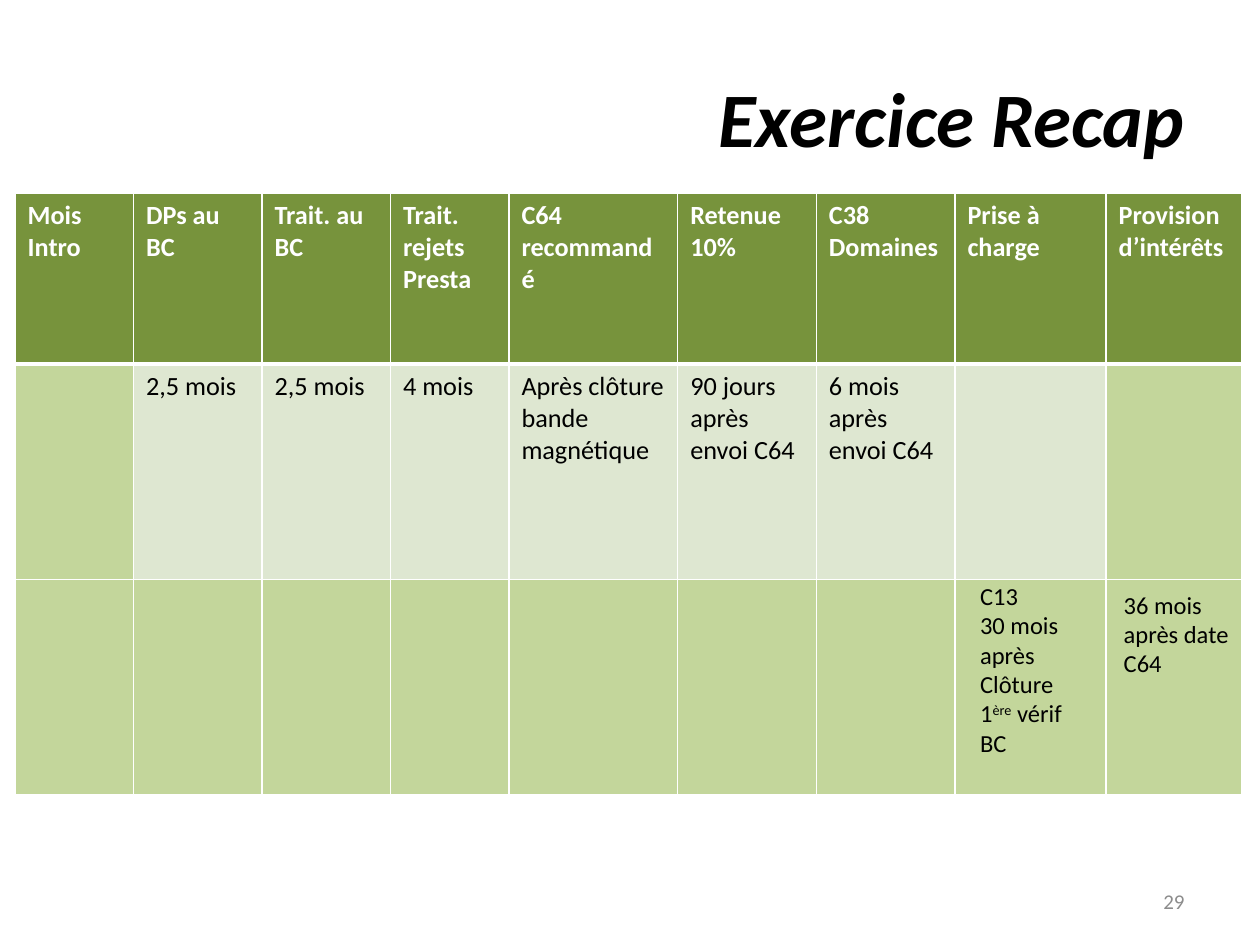
from dataclasses import dataclass
from typing import Optional

from lxml import etree
from pptx import Presentation
from pptx import util as u
from pptx.dml.color import RGBColor
from pptx.enum import text
from pptx.oxml.ns import qn

FONT = "Calibri"
BLACK, WHITE, GREY = "000000", "FFFFFF", "8C8C8C"
HEADER, PALE, GREEN = "77933C", "DEE7D1", "C3D69B"


@dataclass
class Style:
    size: float
    color: str = BLACK
    bold: bool = False
    italic: bool = False
    align: Optional[text.PP_ALIGN] = None


@dataclass
class Note:
    area: tuple
    paragraphs: list  # each paragraph is a list of (words, superscript)
    style: Style
    anchor: text.MSO_ANCHOR = text.MSO_ANCHOR.TOP


def rgb(value: str) -> RGBColor:
    return RGBColor.from_string(value)


def place(shape, area: tuple) -> None:
    shape.left, shape.top, shape.width, shape.height = map(u.Inches, area)


def add_span(para, words: str, style: Style, raised: bool = False) -> None:
    span = para.add_run()
    span.text = words
    font = span.font
    font.name, font.size = FONT, u.Pt(style.size)
    font.bold, font.italic = style.bold, style.italic
    font.color.rgb = rgb(style.color)
    if raised:
        font._element.set("baseline", "30000")


def write(frame, paragraphs: list, style: Style) -> None:
    for index, spans in enumerate(paragraphs):
        para = frame.add_paragraph() if index else frame.paragraphs[0]
        para.alignment = style.align
        for words, raised in spans:
            add_span(para, words, style, raised)


def add_note(page, note: Note) -> None:
    box = page.shapes.add_textbox(*map(u.Inches, note.area))
    box.text_frame.word_wrap = True
    box.text_frame.vertical_anchor = note.anchor
    write(box.text_frame, note.paragraphs, note.style)


def set_borders(cell, widths: dict) -> None:
    props = cell._tc.get_or_add_tcPr()
    for index, (side, points) in enumerate(widths.items()):
        line = etree.Element(qn(f"a:ln{side}"), w=str(u.Pt(points)))
        fill = etree.SubElement(line, qn("a:solidFill"))
        etree.SubElement(fill, qn("a:srgbClr"), val=WHITE)
        props.insert(index, line)  # borders come before the cell fill


deck = Presentation()
deck.slide_width, deck.slide_height = u.Inches(10), u.Inches(7.5)
page = deck.slides.add_slide(deck.slide_layouts[5])

# Title
title = page.shapes.title
place(title, (0.5, 0.3, 9, 1.25))
title.text_frame.vertical_anchor = text.MSO_ANCHOR.MIDDLE
write(title.text_frame, [[("Exercice Recap", False)]],
      Style(44, bold=True, italic=True, align=text.PP_ALIGN.RIGHT))

# Table of deadlines
widths = [0.94, 1.02, 1.02, 0.94, 1.34, 1.1, 1.1, 1.2, 1.08]
heights = [1.36, 1.71, 1.71]
rows = [
    ["Mois Intro", "DPs au BC", "Trait. au BC", "Trait. rejets Presta",
     "C64 recommandé", "Retenue 10%", "C38 Domaines", "Prise à charge",
     "Provision d’intérêts"],
    ["", "2,5 mois", "2,5 mois", "4 mois", "Après clôture bande magnétique",
     "90 jours après envoi C64", "6 mois après envoi C64", "", ""],
    [""] * len(widths),
]
fills = [
    [HEADER] * len(widths),
    [GREEN] + [PALE] * (len(widths) - 2) + [GREEN],
    [GREEN] * len(widths),
]
table = page.shapes.add_table(
    len(rows), len(widths), u.Inches(0.12), u.Inches(1.53),
    u.Inches(sum(widths)), u.Inches(sum(heights))).table
for column, width in zip(table.columns, widths):
    column.width = u.Inches(width)
for row, height in zip(table.rows, heights):
    row.height = u.Inches(height)
for r, labels in enumerate(rows):
    style = Style(15, BLACK if r else WHITE, bold=r == 0)
    for c, label in enumerate(labels):
        cell = table.cell(r, c)
        cell.fill.solid()
        cell.fill.fore_color.rgb = rgb(fills[r][c])
        set_borders(cell, {"L": 1, "R": 1, "T": 3 if r == 1 else 1,
                           "B": 1 if r else 3})
        if label:
            write(cell.text_frame, [[(label, False)]], style)

# Notes over the last row, and the page number
notes = [
    Note((7.68, 4.56, 1.02, 1.51),
         [[("C13", False)], [("30 mois après", False)],
          [("Clôture 1", False), ("ère", True), (" vérif BC", False)]],
         Style(14)),
    Note((8.82, 4.63, 1.26, 0.81), [[("36 mois après date C64", False)]],
         Style(14)),
    Note((7.17, 6.95, 2.33, 0.4), [[("29", False)]],
         Style(12, GREY, align=text.PP_ALIGN.RIGHT), text.MSO_ANCHOR.MIDDLE),
]
for note in notes:
    add_note(page, note)

deck.save("out.pptx")
